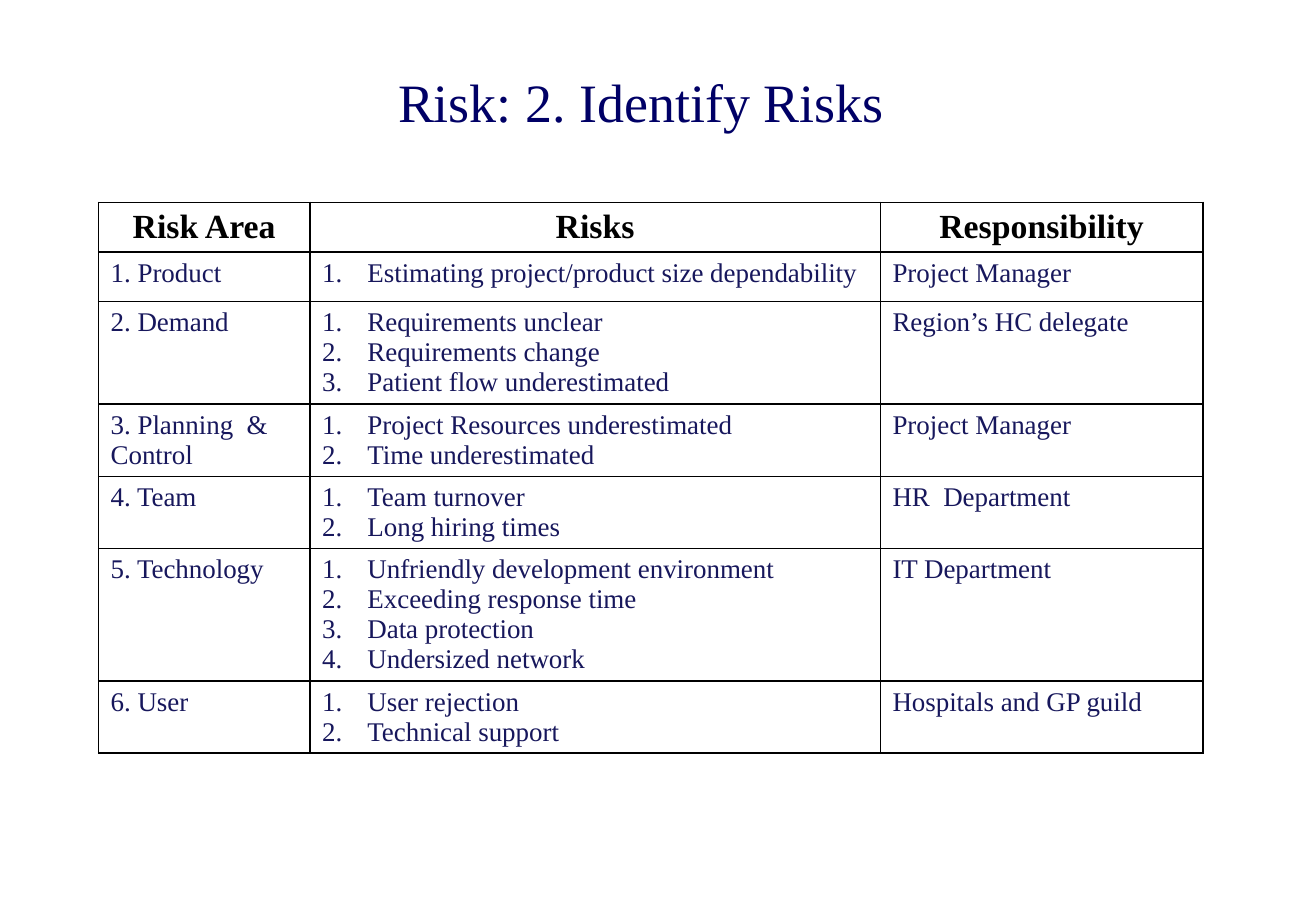
from lxml import etree
from pptx import Presentation
from pptx import util as u
from pptx.dml.color import RGBColor
from pptx.enum import text
from pptx.oxml import ns

NAVY = RGBColor(0x00, 0x00, 0x66)
INK = RGBColor(0x17, 0x17, 0x5C)
BLACK = RGBColor(0, 0, 0)
WHITE = RGBColor(255, 255, 255)

HEADS = ["Risk Area", "Risks", "Responsibility"]
RISKS = [
    ("1. Product", ["Estimating project/product size dependability"], "Project Manager"),
    ("2. Demand", ["Requirements unclear", "Requirements change",
                   "Patient flow underestimated"], "Region’s HC delegate"),
    ("3. Planning  &  Control", ["Project Resources underestimated",
                                 "Time underestimated"], "Project Manager"),
    ("4. Team", ["Team turnover", "Long hiring times"], "HR  Department"),
    ("5. Technology", ["Unfriendly development environment", "Exceeding response time",
                       "Data protection", "Undersized network"], "IT Department"),
    ("6. User", ["User rejection", "Technical support"], "Hospitals and GP guild"),
]


class Deck:
    face = "Times New Roman"
    indent = u.Cm(0.95)

    def __init__(self, wide, high):
        self.file = Presentation()
        self.file.slide_width, self.file.slide_height = u.Cm(wide), u.Cm(high)
        self.slide = self.file.slides.add_slide(self.file.slide_layouts[5])

    def style(self, para, size, color, bold=False, align=text.PP_ALIGN.LEFT):
        para.alignment = align
        font = para.font
        font.name, font.size, font.bold = self.face, u.Pt(size), bold
        font.color.rgb = color

    def title(self, words, left, top, wide, high):
        box = self.slide.shapes.title
        box.left, box.top, box.width, box.height = map(u.Cm, (left, top, wide, high))
        frame = box.text_frame
        frame.text = words
        frame.vertical_anchor = text.MSO_ANCHOR.MIDDLE
        self.style(frame.paragraphs[0], 32, NAVY, align=text.PP_ALIGN.CENTER)

    def number(self, para):
        props = para._p.get_or_add_pPr()
        props.set("marL", str(self.indent))
        props.set("indent", str(-self.indent))
        mark = etree.SubElement(props, ns.qn("a:buAutoNum"))
        mark.set("type", "arabicPeriod")

    def border(self, cell):
        props = cell._tc.get_or_add_tcPr()
        for place, side in enumerate(("lnL", "lnR", "lnT", "lnB")):
            line = etree.Element(ns.qn("a:" + side), w=str(u.Pt(1)))
            fill = etree.SubElement(line, ns.qn("a:solidFill"))
            etree.SubElement(fill, ns.qn("a:srgbClr"), val=str(BLACK))
            props.insert(place, line)

    def cell(self, cell, words, head=False):
        cell.fill.solid()
        cell.fill.fore_color.rgb = WHITE
        self.border(cell)
        listed = isinstance(words, list)
        cell.text = "\n".join(words) if listed else words
        for para in cell.text_frame.paragraphs:
            if listed:
                self.number(para)
            if head:
                self.style(para, 20, BLACK, True, text.PP_ALIGN.CENTER)
            else:
                self.style(para, 16, INK)

    def table(self, heads, rows, left, top, widths):
        highs = [1.04] + [max(1.04, 0.25 + 0.63 * len(row[1])) for row in rows]
        grid = self.slide.shapes.add_table(
            len(highs), len(widths), u.Cm(left), u.Cm(top),
            u.Cm(sum(widths)), u.Cm(sum(highs))).table
        grid.first_row = grid.horz_banding = False
        for col, wide in zip(grid.columns, widths):
            col.width = u.Cm(wide)
        for index, (row, high) in enumerate(zip([heads] + rows, highs)):
            grid.rows[index].height = u.Cm(high)
            for place, words in enumerate(row):
                self.cell(grid.cell(index, place), words, index == 0)


def main():
    deck = Deck(27.52, 19.05)
    deck.title("Risk: 2. Identify Risks", 2.06, 0.84, 22.7, 2.54)
    deck.table(HEADS, RISKS, 2.06, 4.23, [4.42, 11.93, 6.75])
    deck.file.save("out.pptx")


if __name__ == "__main__":
    main()
